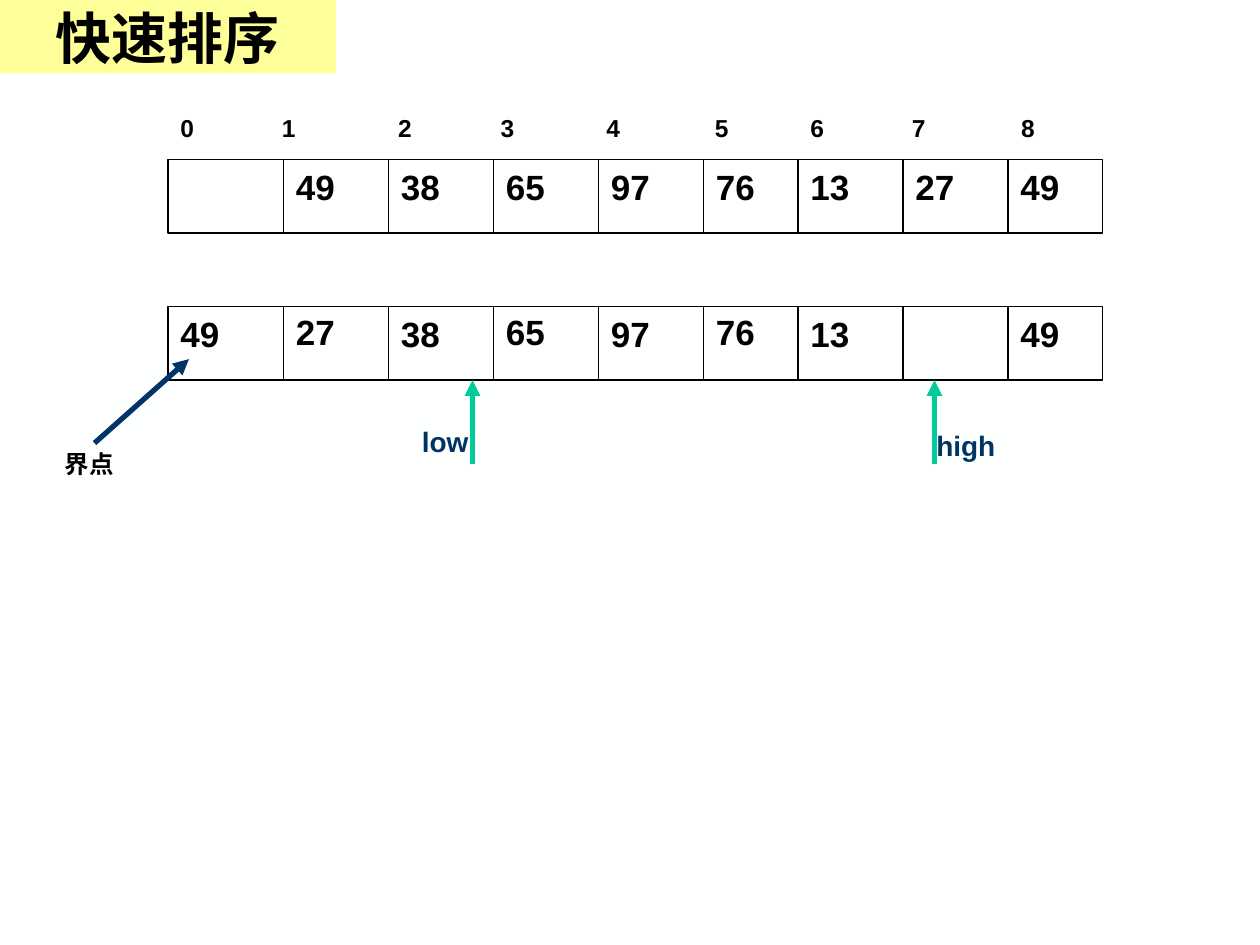
"""Build a slide showing one partition step of quicksort."""
from lxml import etree
from pptx import Presentation, util as u
from pptx.dml.color import RGBColor
from pptx.enum import shapes, text
from pptx.oxml.ns import qn

TITLE = "快速排序"
INDEX_LABELS = "0\t1\t2\t3\t4\t5\t6\t7\t8"
INDEX_TABS = [58, 124.5, 183, 243.5, 305.5, 360, 418, 480.5]
CELL_LEFTS = [96, 162, 222, 282, 342, 402, 456, 516, 576]
ROW_RIGHT, ROW_HEIGHT = 630, 42
ROWS = [
    {"top": 175.2, "values": ["49", "27", "38", "65", "97", "76", "13", "", "49"], "raised": [1, 3, 5]},
    {"top": 91.2, "values": ["", "49", "38", "65", "97", "76", "13", "27", "49"], "raised": []},
]
MARKERS = [("high", 534, 528, 241.2), ("low", 270, 234, 239)]
MARKER_BOTTOM, MARKER_TOP = 265.2, 217.2
BLACK, WHITE, NAVY, GREEN, YELLOW = "000000", "FFFFFF", "003366", "00CC99", "FFFF99"


def color(value):
    return RGBColor.from_string(value)


def points(*values):
    return [u.Pt(value) for value in values]


def write(frame, content, size=20, ink=BLACK, font="Arial", tabs=(),
          align=text.PP_ALIGN.LEFT, anchor=text.MSO_ANCHOR.TOP):
    frame.word_wrap = True
    frame.auto_size = text.MSO_AUTO_SIZE.NONE
    frame.vertical_anchor = anchor
    paragraph = frame.paragraphs[0]
    paragraph.alignment = align
    if tabs:
        tab_list = etree.SubElement(paragraph._p.get_or_add_pPr(), qn("a:tabLst"))
        for position in tabs:
            etree.SubElement(tab_list, qn("a:tab"), pos=str(int(u.Pt(position))), algn="l")
    run = paragraph.add_run()
    run.text = content
    run.font.name, run.font.size, run.font.bold = font, u.Pt(size), True
    run.font.color.rgb = color(ink)


def add_label(parent, content, left, top, width, height, **style):
    box = parent.add_textbox(*points(left, top, width, height))
    write(box.text_frame, content, **style)


def add_line(parent, start, end, ink=BLACK, width=0.75, arrow=False):
    connector = parent.add_connector(shapes.MSO_CONNECTOR.STRAIGHT, *points(*start, *end))
    connector.line.color.rgb = color(ink)
    connector.line.width = u.Pt(width)
    if arrow:
        etree.SubElement(connector.line._get_or_add_ln(), qn("a:tailEnd"), type="triangle")
    etree.SubElement(connector._element.spPr, qn("a:effectLst"))


def add_row_frame(parent, top):
    left = CELL_LEFTS[0]
    frame = parent.add_shape(shapes.MSO_SHAPE.RECTANGLE,
                             *points(left, top, ROW_RIGHT - left, ROW_HEIGHT))
    frame.shadow.inherit = False
    frame.fill.solid()
    frame.fill.fore_color.rgb = color(WHITE)
    frame.line.color.rgb = color(BLACK)
    frame.line.width = u.Pt(0.75)
    for divider in CELL_LEFTS[1:]:
        add_line(parent, (divider, top), (divider, top + ROW_HEIGHT))


def add_title(slide):
    title = slide.shapes.title
    title.left, title.top, title.width, title.height = points(0, 0, 192, 42)
    title.fill.solid()
    title.fill.fore_color.rgb = color(YELLOW)
    write(title.text_frame, TITLE, size=32, font="Times New Roman",
          align=text.PP_ALIGN.CENTER, anchor=text.MSO_ANCHOR.MIDDLE)


def main():
    presentation = Presentation()
    presentation.slide_width, presentation.slide_height = points(720, 540)
    slide = presentation.slides.add_slide(presentation.slide_layouts[5])
    slide.background.fill.solid()
    slide.background.fill.fore_color.rgb = color("FEFFFF")
    add_title(slide)

    for row in ROWS:
        add_row_frame(slide.shapes.add_group_shape().shapes, row["top"])
        for index, (left, value) in enumerate(zip(CELL_LEFTS, row["values"])):
            if value:
                top = row["top"] - (1.2 if index in row["raised"] else 0)
                add_label(slide.shapes, value, left, top, 48, 31.5)
    add_label(slide.shapes, INDEX_LABELS, CELL_LEFTS[0], 61.2, ROW_RIGHT - CELL_LEFTS[0], 24.2,
              size=14, tabs=INDEX_TABS)

    for name, x, label_left, label_top in MARKERS:
        marker = slide.shapes.add_group_shape().shapes
        add_line(marker, (x, MARKER_BOTTOM), (x, MARKER_TOP), ink=GREEN, width=3, arrow=True)
        add_label(marker, name, label_left, label_top, 66, 26.6, size=16, ink=NAVY)

    add_label(slide.shapes, "界点", 30, 253.2, 60, 24.2, size=14)
    add_line(slide.shapes, (54, 253.2), (108, 205.2), ink=NAVY, width=3, arrow=True)
    presentation.save("out.pptx")


if __name__ == "__main__":
    main()
